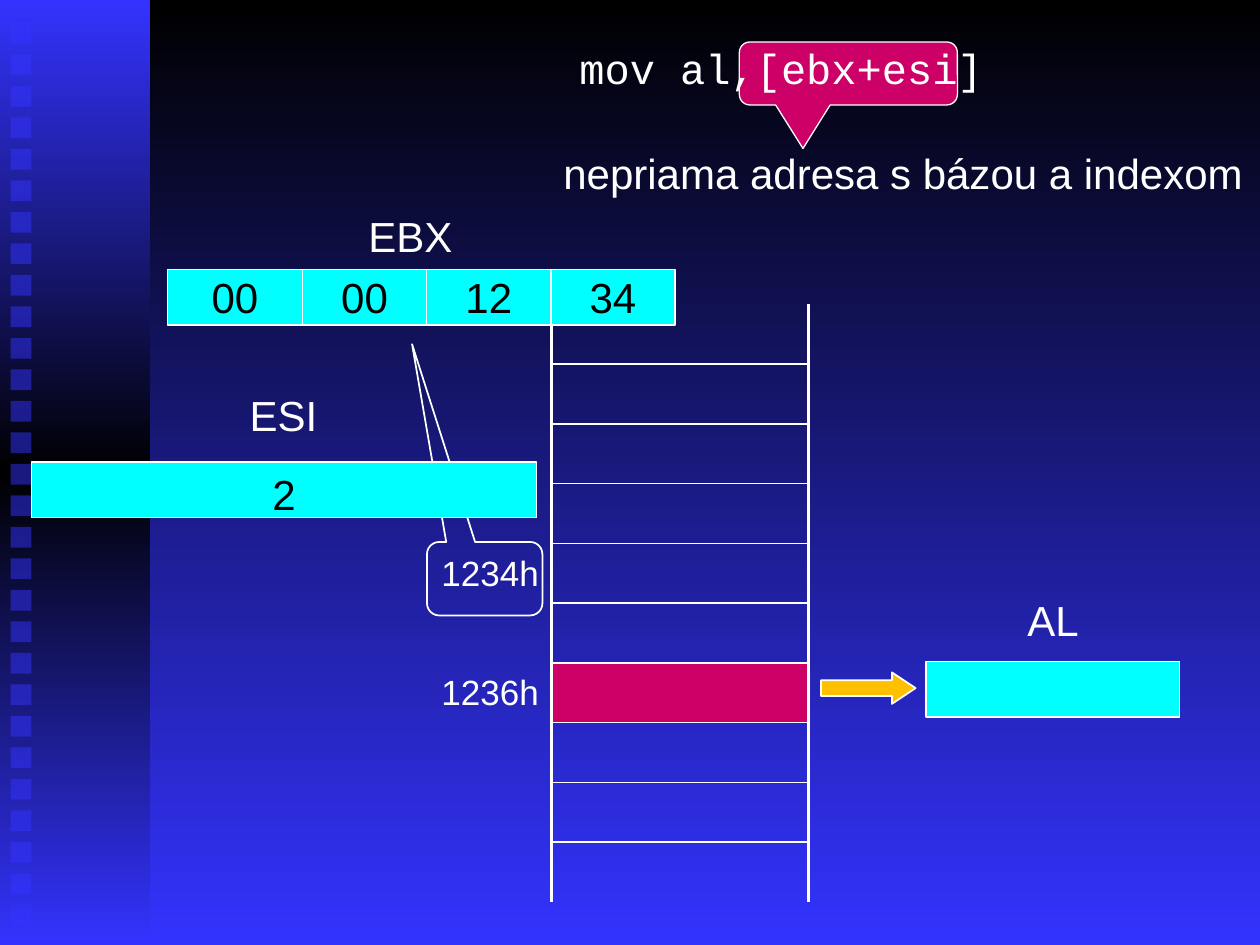
from copy import deepcopy

from lxml.etree import SubElement
from pptx import Presentation
from pptx.dml.color import RGBColor
from pptx.enum.shapes import MSO_SHAPE
from pptx.enum.text import MSO_ANCHOR, PP_ALIGN
from pptx.oxml.ns import qn
from pptx.util import Pt

WHITE = RGBColor(0xFF, 0xFF, 0xFF)
BLACK = RGBColor(0x00, 0x00, 0x00)
BLUE = RGBColor(0x33, 0x33, 0xFF)
CYAN = RGBColor(0x00, 0xFF, 0xFF)
MAGENTA = RGBColor(0xCC, 0x00, 0x66)
GOLD = RGBColor(0xFF, 0xC0, 0x00)
NO_STYLE = "{2D5ABB26-0587-4C30-8999-92F81FD0307C}"


class Board:
    """Draws styled elements on one slide; all lengths are in points."""

    font_name = "Arial"
    font_size = 24

    def __init__(self, slide):
        self.slide = slide

    def shape(self, kind, box, fill=None, line=None, adjustments=()):
        item = self.slide.shapes.add_shape(kind, *map(Pt, box))
        item.shadow.inherit = False
        for index, value in enumerate(adjustments):
            item.adjustments[index] = value
        if fill is None:
            item.fill.background()
        else:
            item.fill.solid()
            item.fill.fore_color.rgb = fill
        if line is None:
            item.line.fill.background()
        else:
            item.line.color.rgb = WHITE
            item.line.width = Pt(line)
        return item

    def fill_frame(self, frame, text, color, top_inset, align=PP_ALIGN.CENTER,
                   font=None, size=None):
        frame.margin_left = frame.margin_right = Pt(7.2)
        frame.margin_top, frame.margin_bottom = Pt(top_inset), Pt(3.6)
        frame.vertical_anchor = MSO_ANCHOR.TOP
        frame.word_wrap = True
        self.style(frame.paragraphs[0], text, color, align, font, size)

    def style(self, paragraph, text, color, align, font=None, size=None):
        paragraph.text = text
        paragraph.alignment = align
        paragraph.font.name = font or self.font_name
        paragraph.font.size = Pt(size or self.font_size)
        paragraph.font.color.rgb = color

    def label(self, text, box, **style):
        frame = self.slide.shapes.add_textbox(*map(Pt, box)).text_frame
        self.fill_frame(frame, text, WHITE, 6.5, **style)

    def register(self, box, text=None, top_inset=3.6):
        cell = self.shape(MSO_SHAPE.RECTANGLE, box, CYAN, 0.75)
        if text:
            self.fill_frame(cell.text_frame, text, BLACK, top_inset)

    def gradient(self, fill, element, colors):
        fill.gradient()
        fill.gradient_angle = 270
        stop_list = next(element.iter(qn("a:gsLst")))
        while len(stop_list) < len(colors):
            stop_list.append(deepcopy(stop_list[0]))
        for index, (stop, color) in enumerate(zip(fill.gradient_stops, colors)):
            stop.color.rgb = color
            stop.position = index / (len(colors) - 1)

    def border(self, cell, **widths):
        properties = cell._tc.get_or_add_tcPr()
        for side, width in widths.items():
            line = SubElement(properties, qn(f"a:ln{side}"), w=str(Pt(width)))
            solid = SubElement(line, qn("a:solidFill"))
            SubElement(solid, qn("a:srgbClr"), val=str(WHITE))

    def memory(self, left, top, widths, row_height, rows, addresses, target):
        frame = self.slide.shapes.add_table(
            rows, 2, Pt(left), Pt(top), Pt(sum(widths)), Pt(row_height * rows))
        table = frame.table
        table.first_row = table.horz_banding = False
        table._tbl.tblPr.find(qn("a:tableStyleId")).text = NO_STYLE
        for column, width in zip(table.columns, widths):
            column.width = Pt(width)
        for index, row in enumerate(table.rows):
            row.height = Pt(row_height)
            address, content = row.cells
            self.border(address, R=2.25)
            edges = {"L": 2.25, "R": 2.25}
            if index > 0:
                edges["T"] = 1
            if index < rows - 1:
                edges["B"] = 1
            self.border(content, **edges)
            address.fill.background()
            if index == target:
                content.fill.solid()
                content.fill.fore_color.rgb = MAGENTA
            else:
                content.fill.background()
            if index in addresses:
                address.margin_top = Pt(6.5)
                self.style(address.text_frame.paragraphs[0], addresses[index],
                           WHITE, PP_ALIGN.RIGHT, size=20)


def main():
    deck = Presentation()
    deck.slide_width, deck.slide_height = Pt(720), Pt(540)
    slide = deck.slides.add_slide(deck.slide_layouts[6])
    board = Board(slide)

    # Background and side band with its column of squares
    board.gradient(slide.background.fill, slide._element, (BLACK, BLUE))
    band = board.shape(MSO_SHAPE.RECTANGLE, (0, 0, 85.7, 540))
    board.gradient(band.fill, band._element, (BLUE, BLACK, BLUE))
    for index in range(29):
        square = board.shape(
            MSO_SHAPE.RECTANGLE, (6, 13 + 18 * index, 12, 12), BLUE)
        tint = next(square._element.iter(qn("a:srgbClr")))
        SubElement(tint, qn("a:alpha"), val="50000")

    # Memory cells
    board.memory(144, 174, (171.2, 146.9), 34.15, rows=10,
                 addresses={4: "1234h", 6: "1236h"}, target=6)

    # Instruction and its addressing mode
    board.shape(MSO_SHAPE.ROUNDED_RECTANGULAR_CALLOUT, (422.5, 24, 124.6, 36),
                MAGENTA, 0.75, (-0.208, 1.191, 0.167))
    board.label("nepriama adresa s bázou a indexom", (312, 78, 408, 39))
    board.label("mov al,[ebx+esi]", (324, 18, 297, 39.5),
                align=PP_ALIGN.LEFT, font="Courier New")

    # AL receives the addressed byte
    board.register((529.2, 378, 144.7, 31.7))
    board.label("AL", (517.7, 333, 168, 39.5))
    board.shape(MSO_SHAPE.RIGHT_ARROW, (469.2, 384.2, 54, 18),
                GOLD, 1, (0.5, 0.75))

    # Base address callout and ESI
    board.shape(MSO_SHAPE.ROUNDED_RECTANGULAR_CALLOUT, (244, 309.7, 66, 42),
                None, 1, (-0.629, -3.19, 0.167))
    board.register((18, 264, 288.7, 31.7), "2")
    board.label("ESI", (78, 216, 168, 39.5))

    # EBX, byte by byte
    board.label("EBX", (150.5, 114, 168, 39.5))
    left = 95.8
    for value, width in zip(("00", "00", "12", "34"), (77, 71, 71, 71)):
        board.register((left, 154, width, 31.7), value, top_inset=1.4)
        left += width

    deck.save("out.pptx")


if __name__ == "__main__":
    main()
